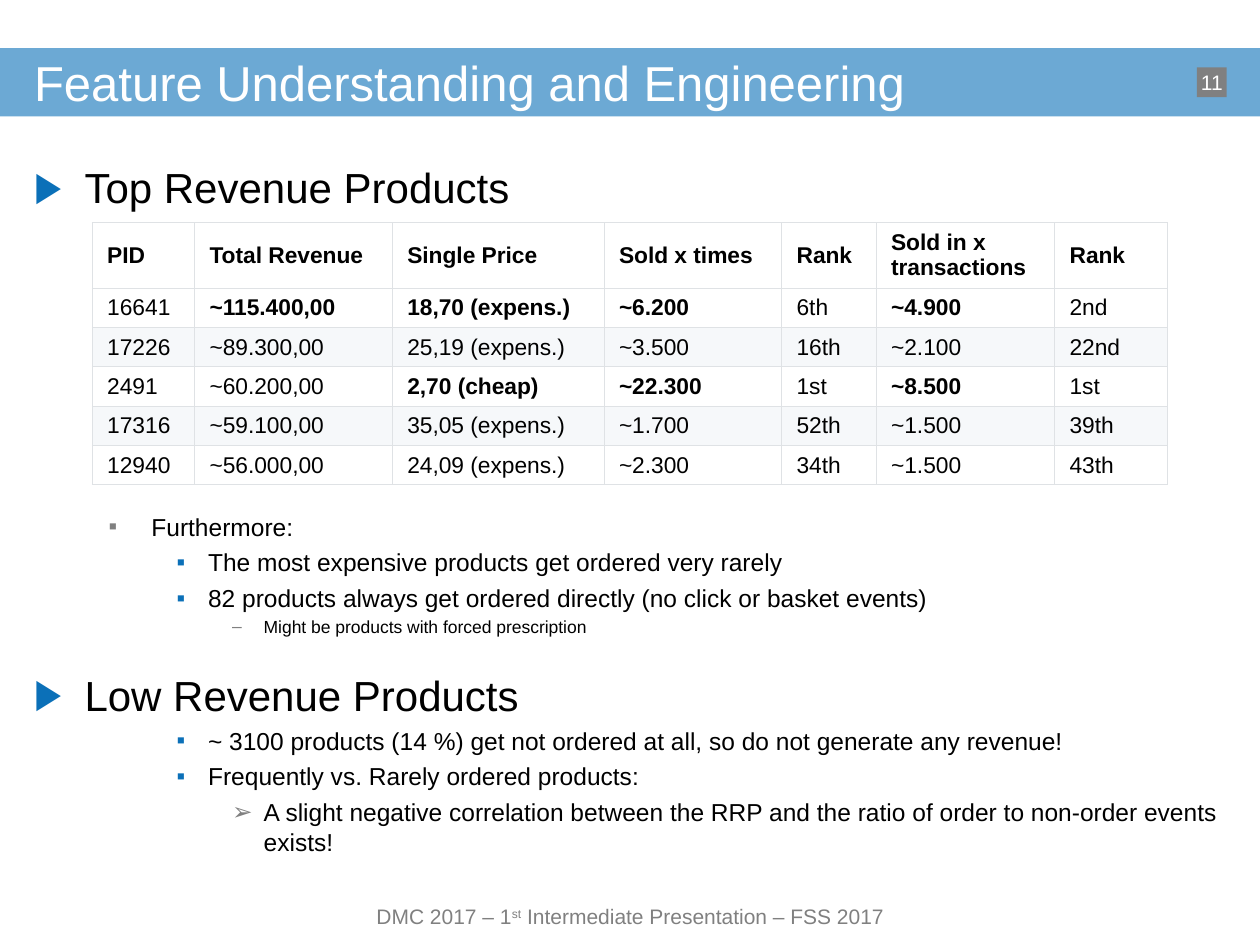
from lxml.etree import SubElement
from pptx import Presentation
from pptx.dml.color import RGBColor
from pptx.enum.shapes import MSO_SHAPE as Shape
from pptx.enum.text import MSO_ANCHOR as Anchor, MSO_AUTO_SIZE as AutoSize, PP_ALIGN as Align
from pptx.oxml.ns import qn
from pptx.util import Pt

FONT = "Arial"
BLUE, GRAY, BLACK, WHITE = "0B70B8", "808080", "000000", "FFFFFF"
STRIPE, BORDER = "F6F8FA", "DFE2E5"
LEFT, WIDTH = 19.5, 680.5

COLUMNS = [58.5, 113, 121, 101.5, 54, 102, 64.5]
ROWS = [
    ["PID", "Total Revenue", "Single Price", "Sold x times", "Rank", "Sold in x\ntransactions", "Rank"],
    ["16641", "~115.400,00", "18,70 (expens.)", "~6.200", "6th", "~4.900", "2nd"],
    ["17226", "~89.300,00", "25,19 (expens.)", "~3.500", "16th", "~2.100", "22nd"],
    ["2491", "~60.200,00", "2,70 (cheap)", "~22.300", "1st", "~8.500", "1st"],
    ["17316", "~59.100,00", "35,05 (expens.)", "~1.700", "52th", "~1.500", "39th"],
    ["12940", "~56.000,00", "24,09 (expens.)", "~2.300", "34th", "~1.500", "43th"],
]
BOLD_COLUMNS = {0: range(len(COLUMNS)), 1: (1, 2, 3, 5), 3: (2, 3, 5)}

HEADING, TOPIC, POINT, DETAIL = range(4)
LEVELS = {
    HEADING: (28.8, -28.8, BLUE),
    TOPIC: (67, -24.5, GRAY),
    POINT: (99.4, -18, BLUE),
    DETAIL: (131.2, -18, GRAY),
}
TOP_PRODUCTS = [
    (HEADING, "▶", 24, 2.8, "Top Revenue Products"),
    (TOPIC, "▪", 14, 171.3, "Furthermore:"),
    (POINT, "▪", 14, 3.6, "The most expensive products get ordered very rarely"),
    (POINT, "▪", 14, 3.6, "82 products always get ordered directly (no click or basket events)"),
    (DETAIL, "–", 10, 2.2, "Might be products with forced prescription"),
]
LOW_PRODUCTS = [
    (HEADING, "▶", 24, 2.8, "Low Revenue Products"),
    (POINT, "▪", 14, 3.6, "~ 3100 products (14 %) get not ordered at all, so do not generate any revenue!"),
    (POINT, "▪", 14, 3.6, "Frequently vs. Rarely ordered products:"),
    (DETAIL, "➢", 14, 3.6, "A slight negative correlation between the RRP and the ratio "
                           "of order to non-order events exists!"),
]


def color(value):
    return RGBColor.from_string(value)


def add_span(para, text, size, hue, bold=False):
    span = para.add_run()
    span.text = text
    span.font.name = FONT
    span.font.size = Pt(size)
    span.font.bold = bold
    span.font.color.rgb = color(hue)
    return span


def prepare_frame(frame, anchor=Anchor.TOP, wrap=True):
    frame.margin_left = frame.margin_top = frame.margin_right = frame.margin_bottom = 0
    frame.vertical_anchor = anchor
    frame.auto_size = AutoSize.NONE
    frame.word_wrap = wrap
    return frame.paragraphs[0]


def add_rectangle(page, left, top, width, height, hue):
    box = page.shapes.add_shape(Shape.RECTANGLE, Pt(left), Pt(top), Pt(width), Pt(height))
    box.shadow.inherit = False
    box.fill.solid()
    box.fill.fore_color.rgb = color(hue)
    box.line.fill.background()
    return box


def add_text_box(page, left, top, width, height):
    return page.shapes.add_textbox(Pt(left), Pt(top), Pt(width), Pt(height)).text_frame


def add_title(page, text):
    band = add_rectangle(page, 0, 27.5, 720, 39, BLUE)
    tint = next(band._element.iter(qn("a:srgbClr")))
    SubElement(tint, qn("a:alpha"), val="60000")
    title = page.shapes.title
    title._element.addprevious(band._element)
    title.left, title.top, title.width, title.height = Pt(LEFT), Pt(27.5), Pt(WIDTH), Pt(39)
    para = prepare_frame(title.text_frame, Anchor.MIDDLE)
    para.alignment = Align.LEFT
    add_span(para, text, 28, WHITE)


def add_footer(page):
    para = prepare_frame(add_text_box(page, 190, 513.5, 340.5, 20), Anchor.MIDDLE)
    para.alignment = Align.CENTER
    add_span(para, "DMC 2017 – 1", 12, GRAY)
    ordinal = add_span(para, "st", 12, GRAY)
    ordinal._r.get_or_add_rPr().set("baseline", "30000")
    add_span(para, " Intermediate Presentation – FSS 2017", 12, GRAY)


def add_page_number(page, number):
    box = add_rectangle(page, 684, 38.5, 17, 17, GRAY)
    para = prepare_frame(box.text_frame, Anchor.MIDDLE, wrap=False)
    para.alignment = Align.CENTER
    add_span(para, number, 12, WHITE)


def set_bullet(para, level, mark):
    margin, indent, hue = LEVELS[level]
    para.level = level
    props = para._p.get_or_add_pPr()
    props.set("marL", str(Pt(margin)))
    props.set("indent", str(Pt(indent)))
    SubElement(SubElement(props, qn("a:buClr")), qn("a:srgbClr"), val=hue)
    SubElement(props, qn("a:buFont"), typeface=FONT)
    SubElement(props, qn("a:buChar"), char=mark)


def add_outline(page, top, height, items):
    frame = add_text_box(page, LEFT, top, WIDTH, height)
    para = prepare_frame(frame)
    for index, (level, mark, size, gap, text) in enumerate(items):
        if index:
            para = frame.add_paragraph()
        para.space_before = Pt(gap)
        set_bullet(para, level, mark)
        add_span(para, text, size, BLACK)


def set_borders(cell):
    props = cell._tc.get_or_add_tcPr()
    for position, side in enumerate(("lnL", "lnR", "lnT", "lnB")):
        line = SubElement(props, qn("a:" + side), w=str(Pt(0.75)))
        SubElement(SubElement(line, qn("a:solidFill")), qn("a:srgbClr"), val=BORDER)
        props.insert(position, line)


def fill_cell(cell, text, bold, background):
    cell.fill.solid()
    cell.fill.fore_color.rgb = color(background)
    set_borders(cell)
    cell.margin_left = cell.margin_right = Pt(8.5)
    cell.margin_top = cell.margin_bottom = Pt(3.7)
    cell.vertical_anchor = Anchor.MIDDLE
    for index, line in enumerate(text.split("\n")):
        para = cell.text_frame.add_paragraph() if index else cell.text_frame.paragraphs[0]
        add_span(para, line, 13, BLACK, bold)


def add_revenue_table(page):
    heights = [37.5] + [22.5] * (len(ROWS) - 1)
    table = page.shapes.add_table(len(ROWS), len(COLUMNS), Pt(52.8), Pt(127.2),
                                  Pt(sum(COLUMNS)), Pt(sum(heights))).table
    for column, width in zip(table.columns, COLUMNS):
        column.width = Pt(width)
    for row, texts in enumerate(ROWS):
        table.rows[row].height = Pt(heights[row])
        background = STRIPE if row and row % 2 == 0 and row < 5 else WHITE
        for column, text in enumerate(texts):
            bold = column in BOLD_COLUMNS.get(row, ())
            fill_cell(table.cell(row, column), text, bold, background)


def main():
    deck = Presentation()
    deck.slide_width, deck.slide_height = Pt(720), Pt(540)
    page = deck.slides.add_slide(deck.slide_layouts[5])
    add_title(page, "Feature Understanding and Engineering")
    add_footer(page)
    add_page_number(page, "11")
    add_outline(page, 92.2, 274.3, TOP_PRODUCTS)
    add_revenue_table(page)
    add_outline(page, 382.3, 131, LOW_PRODUCTS)
    deck.save("out.pptx")


if __name__ == "__main__":
    main()
